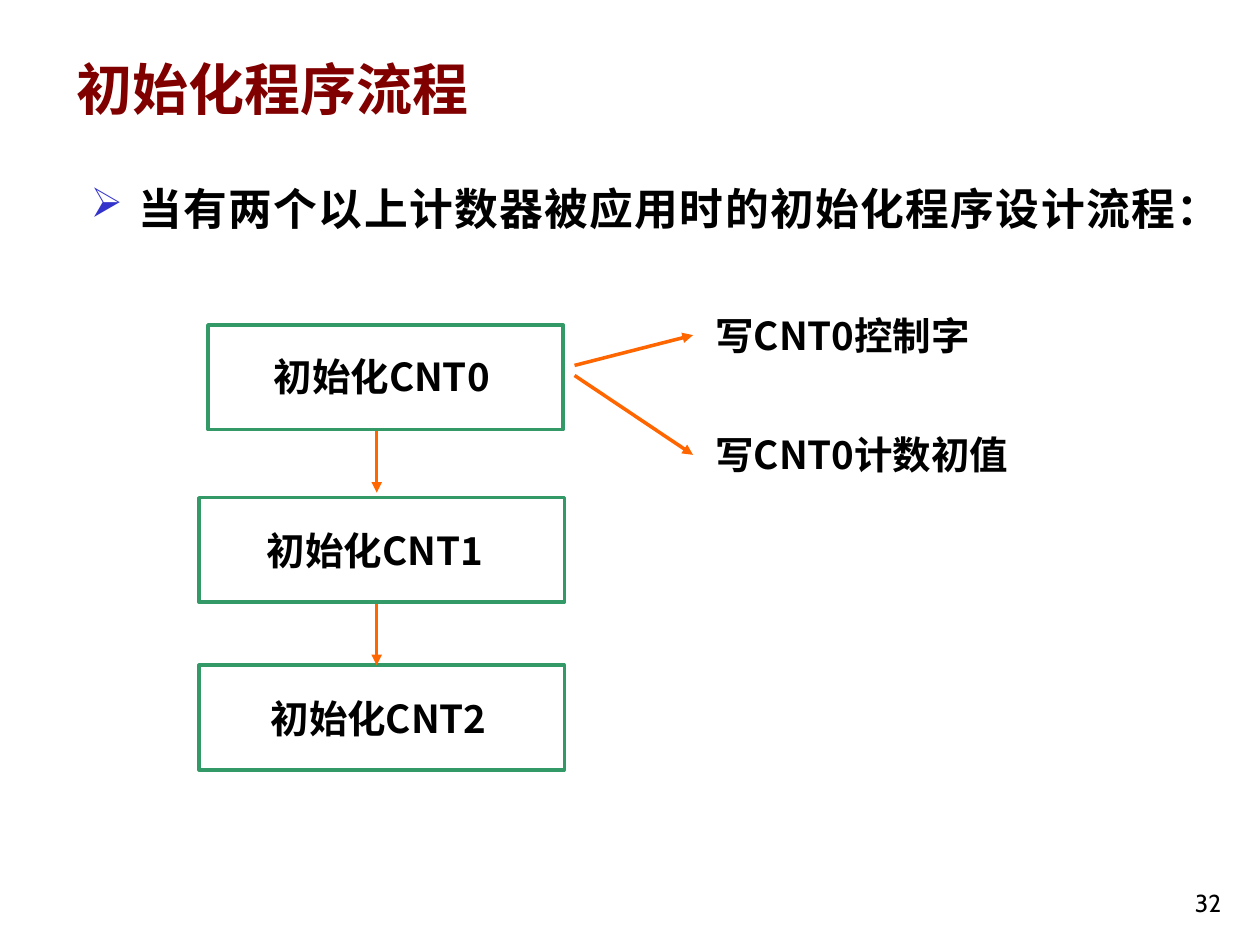
"""Build the slide on the initialization flow of several counters."""
from lxml.etree import SubElement
from pptx import Presentation
from pptx.dml.color import RGBColor
from pptx.enum.shapes import MSO_CONNECTOR, MSO_SHAPE
from pptx.enum.text import MSO_ANCHOR, PP_ALIGN
from pptx.oxml.ns import qn
from pptx.util import Inches, Pt

BLACK = RGBColor(0x00, 0x00, 0x00)
MAROON = RGBColor(0x80, 0x00, 0x00)
GREEN = RGBColor(0x33, 0x99, 0x66)
ORANGE = RGBColor(0xFF, 0x66, 0x00)
BULLET_BLUE = "3333CC"
CJK_FONT = "Noto Sans CJK SC"

prs = Presentation()
prs.slide_width = Inches(10)
prs.slide_height = Inches(7.5)
slide = prs.slides.add_slide(prs.slide_layouts[6])


def add_text(text, left, top, width, height, size, align=PP_ALIGN.LEFT,
             color=BLACK, font=CJK_FONT, bold=True, anchor=MSO_ANCHOR.TOP):
    frame = slide.shapes.add_textbox(
        Inches(left), Inches(top), Inches(width), Inches(height)).text_frame
    frame.word_wrap = True
    frame.vertical_anchor = anchor
    paragraph = frame.paragraphs[0]
    paragraph.alignment = align
    run = paragraph.add_run()
    run.text = text
    run.font.size = Pt(size)
    run.font.bold = bold
    run.font.color.rgb = color
    run.font.name = font
    SubElement(run._r.get_or_add_rPr(), qn("a:ea"), typeface=font)
    return frame


def add_arrow(x1, y1, x2, y2):
    arrow = slide.shapes.add_connector(
        MSO_CONNECTOR.STRAIGHT, Inches(x1), Inches(y1), Inches(x2), Inches(y2))
    arrow.line.color.rgb = ORANGE
    arrow.line.width = Pt(2)
    SubElement(arrow.line._get_or_add_ln(), qn("a:tailEnd"), type="triangle")
    SubElement(arrow._element.spPr, qn("a:effectLst"))


add_text("32", 9.02, 6.83, 0.77, 0.5, 14, PP_ALIGN.RIGHT,
         font="Cabin", bold=False, anchor=MSO_ANCHOR.BOTTOM)

title = add_text("初始化程序流程", 0.51, 0.21, 8.52, 0.76, 32,
                 color=MAROON, anchor=MSO_ANCHOR.BOTTOM)
title.margin_bottom = Inches(0)

intro = add_text("当有两个以上计数器被应用时的初始化程序设计流程：",
                 0.62, 1.31, 8.82, 0.79, 25, PP_ALIGN.JUSTIFY).paragraphs[0]
intro.line_spacing = 1.2
intro.space_before = Pt(6)
intro_props = intro._p.get_or_add_pPr()
intro_props.set("marL", str(Inches(0.38)))
intro_props.set("indent", str(Inches(-0.38)))
bullet_color = SubElement(intro_props, qn("a:buClr"))
SubElement(bullet_color, qn("a:srgbClr"), val=BULLET_BLUE)
SubElement(intro_props, qn("a:buSzPct"), val="94000")
SubElement(intro_props, qn("a:buChar"), char="➢")

steps = [
    ("初始化CNT0", 1.65, 2.58, 2.82, 1.81, 2.75, 2.44),
    ("初始化CNT1", 1.58, 3.95, 2.9, 1.78, 4.13, 2.39),
    ("初始化CNT2", 1.58, 5.28, 2.9, 1.83, 5.47, 2.35),
]
for label, left, top, width, label_left, label_top, label_width in steps:
    step = slide.shapes.add_shape(
        MSO_SHAPE.RECTANGLE, Inches(left), Inches(top), Inches(width), Inches(0.83))
    step.shadow.inherit = False
    step.fill.background()
    step.line.color.rgb = GREEN
    step.line.width = Pt(2)
    add_text(label, label_left, label_top, label_width, 0.47, 22, PP_ALIGN.CENTER)

for top in (3.42, 4.79):
    add_arrow(2.99, top, 2.99, top + 0.49)

details = [
    ("写CNT0控制字", 2.43, 2.44, 2.9, 2.66),
    ("写CNT0计数初值", 3.37, 2.83, 2.98, 3.61),
]
for detail, top, width, arrow_start, arrow_end in details:
    add_text(detail, 5.58, top, width, 0.47, 22)
    add_arrow(4.56, arrow_start, 5.5, arrow_end)

prs.save("out.pptx")
